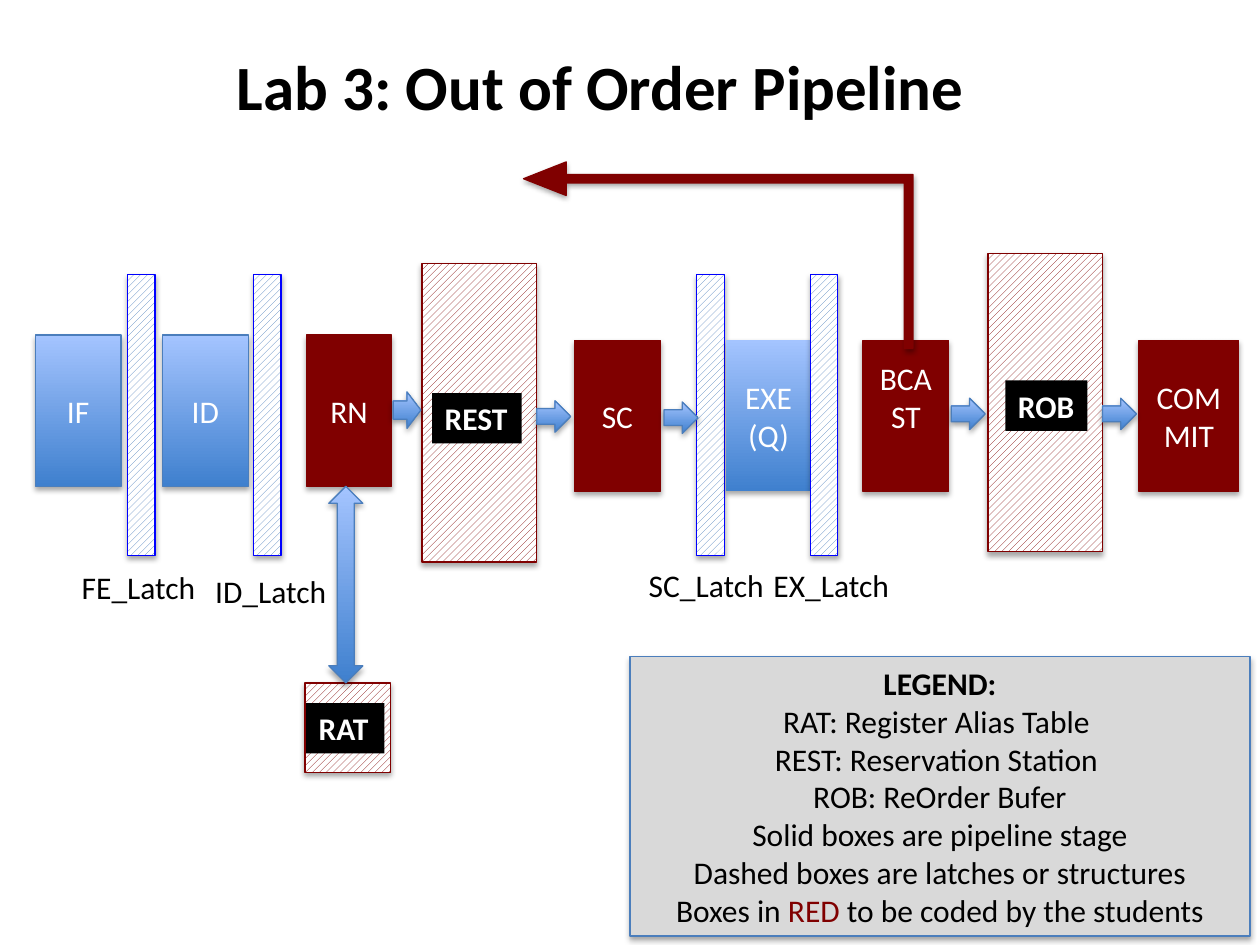
"""Build the out-of-order pipeline slide for Lab 3."""
from pptx import Presentation
from pptx.dml.color import RGBColor
from pptx.enum.dml import MSO_PATTERN
from pptx.enum.shapes import MSO_SHAPE
from pptx.enum.text import MSO_ANCHOR, PP_ALIGN
from pptx.util import Inches, Pt

RECT = MSO_SHAPE.RECTANGLE
RIGHT_ARROW = MSO_SHAPE.RIGHT_ARROW
UP_DOWN_ARROW = MSO_SHAPE.UP_DOWN_ARROW
BENT_ARROW = MSO_SHAPE.BENT_UP_ARROW
HATCH = MSO_PATTERN.WIDE_UPWARD_DIAGONAL
TOP, MIDDLE = MSO_ANCHOR.TOP, MSO_ANCHOR.MIDDLE
LEFT, CENTER = PP_ALIGN.LEFT, PP_ALIGN.CENTER


def rgb(value):
    """Turn a hex string into a colour."""
    return RGBColor.from_string(value)


class PipelineSlide:
    """Hold the style and the current slide."""

    FONT, SIZE = "Calibri", 18
    RED, BLACK, WHITE, GREY = "800000", "000000", "FFFFFF", "D9D9D9"
    DARK_BLUE, LIGHT_BLUE, EDGE_BLUE = "3F80CE", "A4C4FF", "4B7EBC"
    HATCH_BLUE, LATCH_EDGE = "4F81BD", "0000FF"

    def __init__(self, prs):
        """Add a title-only slide."""
        self.s = prs.slides.add_slide(prs.slide_layouts[5])

    def format(self, p, color, size=SIZE, bold=False, align=LEFT):
        """Style a whole paragraph."""
        p.alignment = align
        p.font.name, p.font.size, p.font.bold = self.FONT, Pt(size), bold
        p.font.color.rgb = rgb(color)

    def title(self, text, x, y, w, h):
        """Fill and place the title placeholder."""
        sp = self.s.shapes.title
        sp.left, sp.top, sp.width, sp.height = map(Inches, (x, y, w, h))
        tf = sp.text_frame
        tf.text = text
        tf.word_wrap, tf.vertical_anchor = False, TOP
        self.format(tf.paragraphs[0], self.BLACK, 36, True)

    def shape(self, kind, x, y, w, h, line=None):
        """Add a preset shape that keeps the theme shadow."""
        sp = self.s.shapes.add_shape(kind, *map(Inches, (x, y, w, h)))
        if line:
            sp.line.color.rgb = rgb(line)
            sp.line.width = Pt(0.75)
        else:
            sp.line.fill.background()
        return sp

    def solid(self, kind, x, y, w, h, color, line):
        """Add a shape of one colour."""
        sp = self.shape(kind, x, y, w, h, line)
        sp.fill.solid()
        sp.fill.fore_color.rgb = rgb(color)
        return sp

    def blue(self, kind, x, y, w, h, line=EDGE_BLUE):
        """Add a shape with the blue gradient."""
        sp = self.shape(kind, x, y, w, h, line)
        sp.fill.gradient()
        sp.fill.gradient_angle = 90
        for stop, color in zip(sp.fill.gradient_stops, (self.DARK_BLUE, self.LIGHT_BLUE)):
            stop.color.rgb = rgb(color)
        return sp

    def hatched(self, x, y, w, h, color=RED, line=RED):
        """Add a hatched structure."""
        sp = self.shape(RECT, x, y, w, h, line)
        sp.fill.patterned()
        sp.fill.pattern = HATCH
        sp.fill.fore_color.rgb, sp.fill.back_color.rgb = rgb(color), rgb(self.WHITE)

    def latch(self, x):
        """Add a pipeline latch."""
        self.hatched(x, 2.18, 0.22, 2.23, self.HATCH_BLUE, self.LATCH_EDGE)

    def stage_text(self, sp, text, bottom=0.05):
        """Write a stage name in the middle of its box."""
        tf = sp.text_frame
        tf.text = text
        tf.word_wrap, tf.vertical_anchor = True, MIDDLE
        tf.margin_bottom = Inches(bottom)
        for p in tf.paragraphs:
            self.format(p, self.WHITE, align=CENTER)

    def blue_stage(self, text, x, y, line=EDGE_BLUE):
        """Add a given pipeline stage."""
        self.stage_text(self.blue(RECT, x, y, 0.68, 1.2, line), text)

    def red_stage(self, text, x, y, w=0.68, bottom=0.05):
        """Add a stage the students code."""
        sp = self.solid(RECT, x, y, w, 1.2, self.RED, self.RED)
        self.stage_text(sp, text, bottom)

    def label(self, text, x, y, w, fill=None):
        """Add a one-line label, white and bold when it is filled."""
        sp = self.s.shapes.add_textbox(*map(Inches, (x, y, w, 0.4)))
        if fill:
            sp.fill.solid()
            sp.fill.fore_color.rgb = rgb(fill)
        tf = sp.text_frame
        tf.text = text
        tf.word_wrap = False
        self.format(tf.paragraphs[0], self.WHITE if fill else self.BLACK, bold=bool(fill))

    def feedback(self, x, y, w, h):
        """Add the bent broadcast arrow."""
        sp = self.solid(BENT_ARROW, x, y, w, h, self.RED, self.RED)
        sp.rotation = 270
        for i, value in enumerate((0.046, 0.09, 0.229)):
            sp.adjustments[i] = value

    def legend(self, lines, x, y, w, h):
        """Add the legend; each line is a list of text and colour pairs."""
        sp = self.solid(RECT, x, y, w, h, self.GREY, self.EDGE_BLUE)
        tf = sp.text_frame
        tf.word_wrap, tf.vertical_anchor = True, MIDDLE
        for i, runs in enumerate(lines):
            p = tf.add_paragraph() if i else tf.paragraphs[0]
            self.format(p, self.BLACK, bold=i == 0, align=CENTER)
            for text, color in runs:
                r = p.add_run()
                r.text = text
                r.font.color.rgb = rgb(color)


def main():
    """Draw the slide and save it."""
    prs = Presentation()
    prs.slide_width, prs.slide_height = Inches(10), Inches(7.5)
    s = PipelineSlide(prs)
    s.title("Lab 3: Out of Order Pipeline", 1.78, 0.33, 6.04, 0.71)

    for x in (1.01, 2.01, 5.53):
        s.latch(x)
    for text, x in (("IF", 0.28), ("ID", 1.29)):
        s.blue_stage(text, x, 2.66)
    s.blue_stage("EXE\n(Q)", 5.76, 2.7, None)
    s.latch(6.43)

    s.red_stage("RN", 2.43, 2.66)
    s.red_stage("SC", 4.56, 2.7)
    s.red_stage("BCAST", 6.85, 2.7, bottom=0.35)
    s.red_stage("COMMIT", 9.04, 2.7, 0.79)

    for box in ((2.42, 5.42, 0.68, 0.71), (3.35, 2.09, 0.91, 2.37), (7.84, 2.01, 0.91, 2.37)):
        s.hatched(*box)

    s.blue(UP_DOWN_ARROW, 2.61, 3.86, 0.27, 1.56)
    s.blue(RIGHT_ARROW, 3.12, 3.11, 0.22, 0.29)
    for x, y in ((4.26, 3.18), (5.27, 3.19), (7.55, 3.16), (8.75, 3.16)):
        s.blue(RIGHT_ARROW, x, y, 0.27, 0.25)
    s.feedback(4.96, 0.48, 1.48, 3.09)

    for text, x, y in (("FE_Latch", 0.55, 4.46), ("ID_Latch", 1.61, 4.49),
                       ("SC_Latch", 5.05, 4.44), ("EX_Latch", 6.04, 4.44)):
        s.label(text, x, y, 1.12)
    for text, x, y, w in (("RAT", 2.43, 5.58, 0.62), ("REST", 3.43, 3.12, 0.71),
                          ("ROB", 7.98, 3.02, 0.65)):
        s.label(text, x, y, w, s.BLACK)

    plain = ("LEGEND:", "RAT: Register Alias Table ", "REST: Reservation Station ",
             "ROB: ReOrder Bufer", "Solid boxes are pipeline stage",
             "Dashed boxes are latches or structures")
    lines = [[(text, s.BLACK)] for text in plain]
    lines.append([("Boxes in ", s.BLACK), ("RED ", s.RED),
                  ("to be coded by the students", s.BLACK)])
    s.legend(lines, 5, 5.21, 4.92, 2.22)
    prs.save("out.pptx")


if __name__ == "__main__":
    main()
